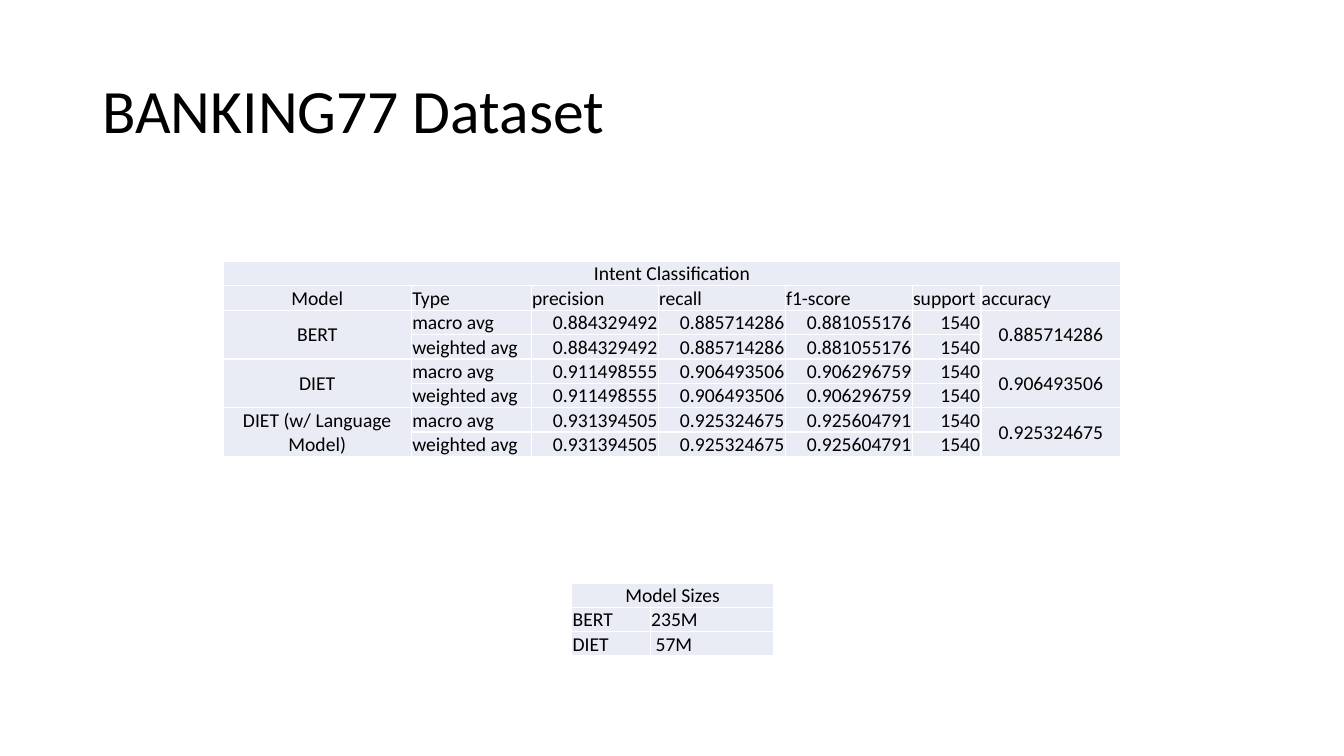
from dataclasses import dataclass

from lxml.etree import SubElement
from pptx import Presentation
from pptx.dml.color import RGBColor
from pptx.enum.text import MSO_ANCHOR, PP_ALIGN
from pptx.oxml.ns import qn
from pptx.util import Cm, Pt


@dataclass(frozen=True)
class Theme:
    font: str = "Calibri"
    ink: str = "000000"
    fill: str = "E9EBF5"
    edge: str = "FFFFFF"
    title: int = 44
    body: int = 14


THEME = Theme()
LEFT, MID, RIGHT = PP_ALIGN.LEFT, PP_ALIGN.CENTER, PP_ALIGN.RIGHT
ROW = 0.61

# Scores per model: precision, recall, f1-score, support, accuracy
SCORES = {
    "BERT": ("0.884329492", "0.885714286", "0.881055176", "1540", "0.885714286"),
    "DIET": ("0.911498555", "0.906493506", "0.906296759", "1540", "0.906493506"),
    "DIET (w/ Language Model)":
        ("0.931394505", "0.925324675", "0.925604791", "1540", "0.925324675"),
}
HEADS = ("Type", "precision", "recall", "f1-score", "support", "accuracy")
SIZES = {"BERT": "235M", "DIET": " 57M"}


def add_run(para, text, size, align):
    para.alignment = align
    run = para.add_run()
    run.text = text
    run.font.name = THEME.font
    run.font.size = Pt(size)
    run.font.color.rgb = RGBColor.from_string(THEME.ink)


def add_title(slide, text):
    box = slide.shapes.add_textbox(Cm(2.33), Cm(1.01), Cm(29.21), Cm(3.68))
    frame = box.text_frame
    frame.word_wrap = True
    frame.vertical_anchor = MSO_ANCHOR.MIDDLE
    para = frame.paragraphs[0]
    para.line_spacing = 0.9
    add_run(para, text, THEME.title, LEFT)


def style_cell(cell):
    cell.margin_left = cell.margin_right = cell.margin_top = Cm(0.02)
    cell.margin_bottom = 0
    props = cell._tc.get_or_add_tcPr()
    for side in ("a:lnL", "a:lnR", "a:lnT", "a:lnB"):
        line = SubElement(props, qn(side), w=str(Pt(1)))
        paint = SubElement(line, qn("a:solidFill"))
        SubElement(paint, qn("a:srgbClr"), val=THEME.edge)
    cell.fill.solid()
    cell.fill.fore_color.rgb = RGBColor.from_string(THEME.fill)


def add_grid(slide, left, top, widths, rows):
    shape = slide.shapes.add_table(
        rows, len(widths), Cm(left), Cm(top), Cm(sum(widths)), Cm(ROW * rows))
    grid = shape.table
    grid.first_row = grid.horz_banding = False
    for col, width in zip(grid.columns, widths):
        col.width = Cm(width)
    for cell in grid.iter_cells():
        style_cell(cell)
    return grid


def put(cell, text, align=LEFT, anchor=MSO_ANCHOR.BOTTOM):
    cell.vertical_anchor = anchor
    add_run(cell.text_frame.paragraphs[0], text, THEME.body, align)


def put_span(grid, first, last, text, anchor=MSO_ANCHOR.MIDDLE):
    cell = grid.cell(*first)
    cell.merge(grid.cell(*last))
    put(cell, text, MID, anchor)


def add_scores(slide):
    widths = (4.75, 3.02, 3.2, 3.2, 3.2, 1.73, 3.53)
    grid = add_grid(slide, 5.62, 6.59, widths, 2 + 2 * len(SCORES))
    put_span(grid, (0, 0), (0, 6), "Intent Classification", MSO_ANCHOR.BOTTOM)
    put(grid.cell(1, 0), "Model", MID)
    for col, head in enumerate(HEADS, 1):
        put(grid.cell(1, col), head)
    # Two rows per model, joined in the outer columns
    for num, (model, (*marks, total)) in enumerate(SCORES.items()):
        top = 2 + 2 * num
        put_span(grid, (top, 0), (top + 1, 0), model)
        put_span(grid, (top, 6), (top + 1, 6), total)
        for row, kind in enumerate(("macro avg", "weighted avg"), top):
            put(grid.cell(row, 1), kind)
            for col, mark in enumerate(marks, 2):
                put(grid.cell(row, col), mark, RIGHT)


def add_sizes(slide):
    grid = add_grid(slide, 14.41, 14.69, (1.98, 3.1), 1 + len(SIZES))
    put_span(grid, (0, 0), (0, 1), "Model Sizes", MSO_ANCHOR.BOTTOM)
    for row, pair in enumerate(SIZES.items(), 1):
        for col, text in enumerate(pair):
            put(grid.cell(row, col), text)


def main():
    deck = Presentation()
    deck.slide_width, deck.slide_height = Cm(33.87), Cm(19.05)
    slide = deck.slides.add_slide(deck.slide_layouts[6])
    add_title(slide, "BANKING77 Dataset")
    add_scores(slide)
    add_sizes(slide)
    deck.save("out.pptx")


if __name__ == "__main__":
    main()
